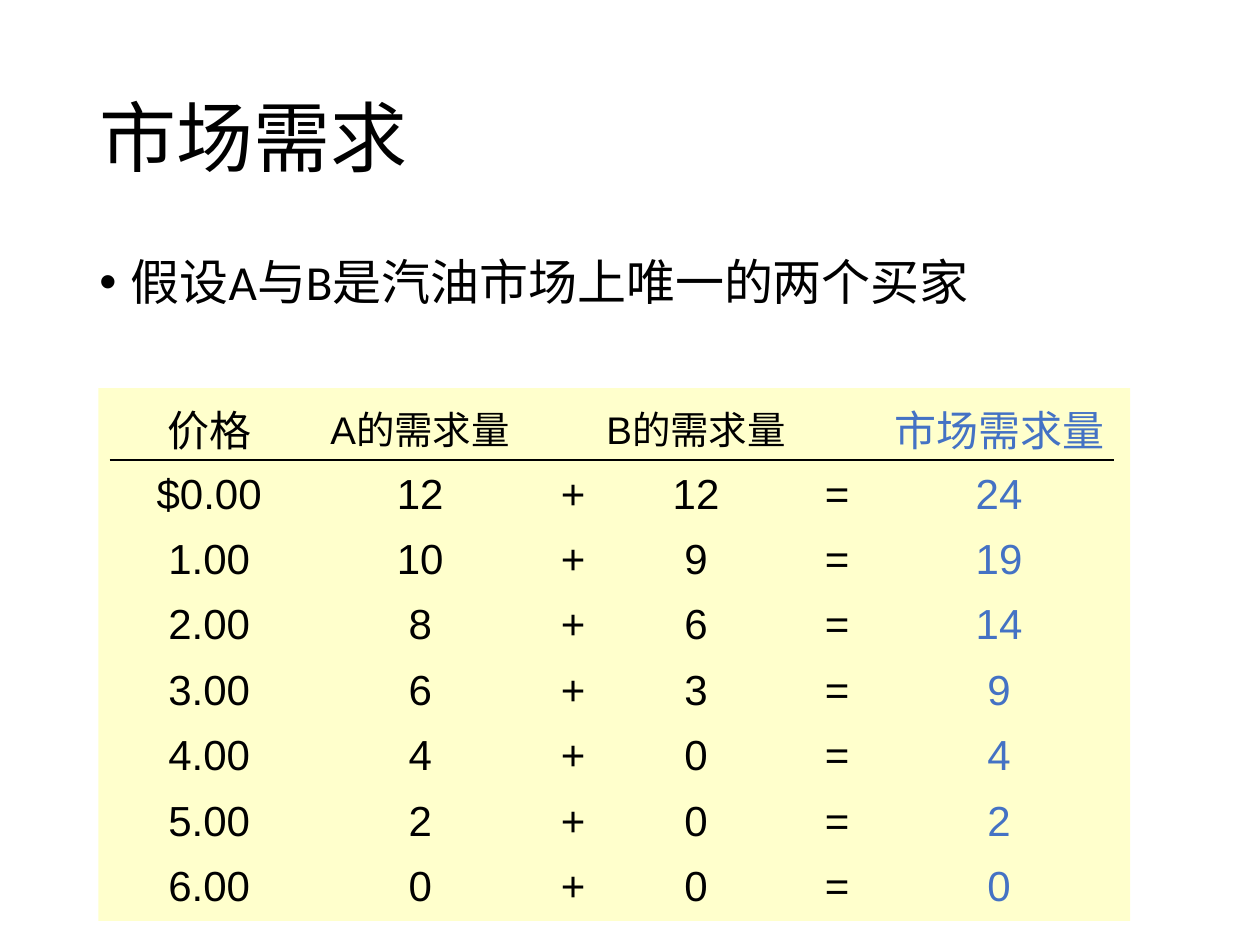
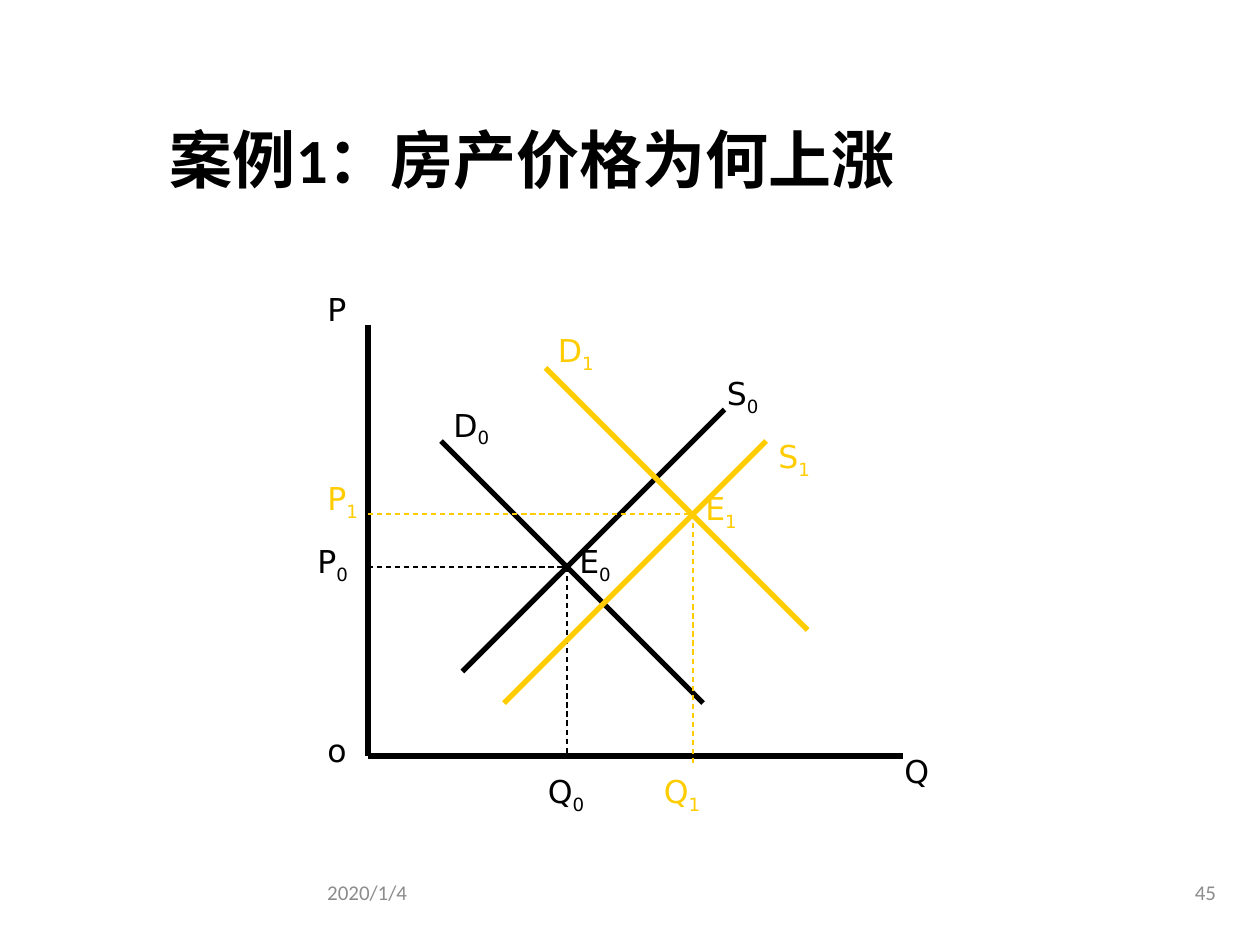
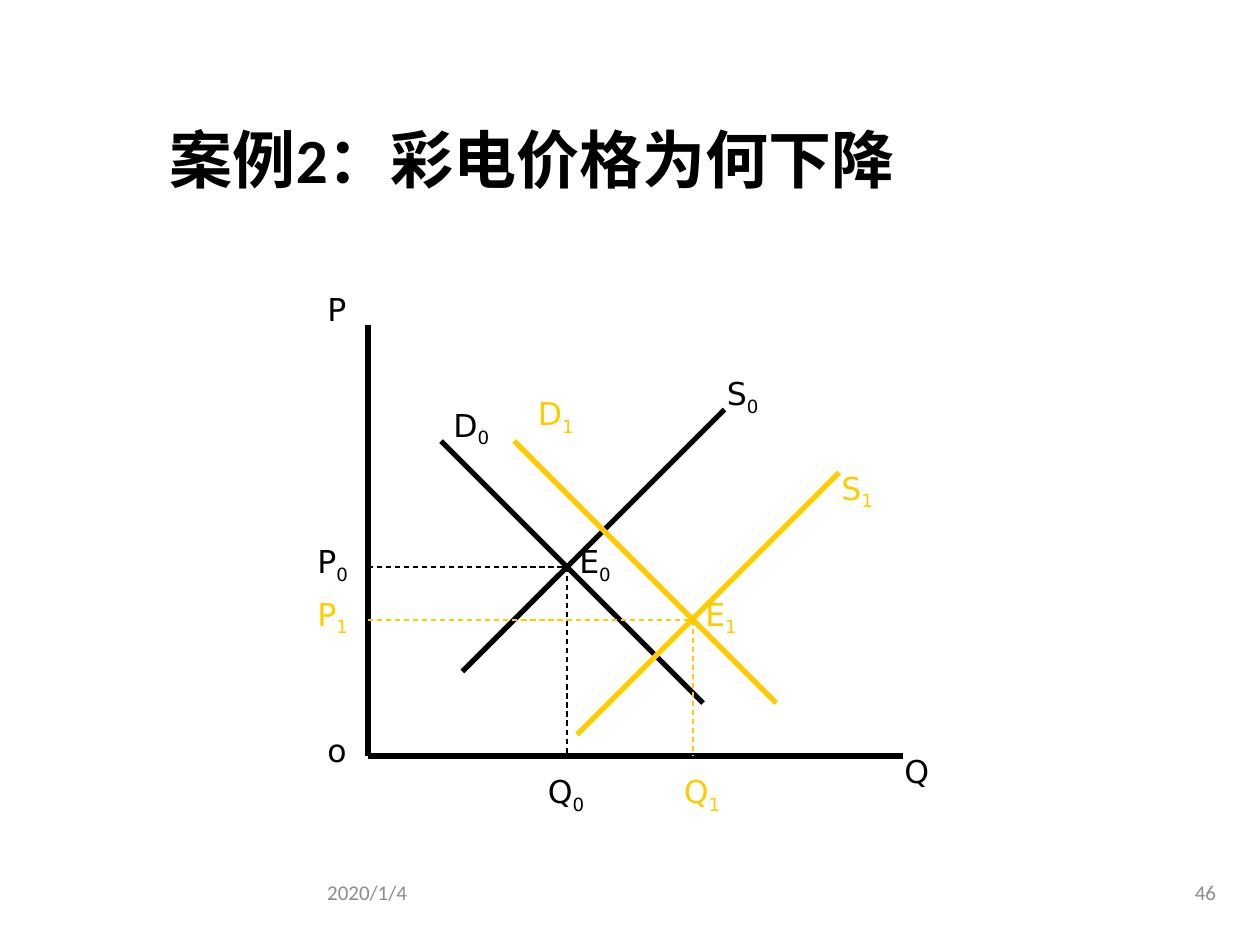
from dataclasses import dataclass

from lxml.etree import SubElement
from pptx import Presentation
from pptx.dml.color import RGBColor
from pptx.enum.dml import MSO_LINE as Dash
from pptx.enum.shapes import MSO_CONNECTOR as Link, MSO_SHAPE as Form
from pptx.enum.text import MSO_ANCHOR as Anchor, MSO_AUTO_SIZE as Fit, PP_ALIGN as Align
from pptx.oxml.ns import qn
from pptx.slide import Slide
from pptx.text.text import Font
from pptx.util import Inches, Pt

BLACK = RGBColor(0x00, 0x00, 0x00)
GOLD = RGBColor(0xFF, 0xCC, 0x00)
BLUE = RGBColor(0x44, 0x72, 0xC4)
CREAM = RGBColor(0xFF, 0xFF, 0xCC)
GRAY = RGBColor(0x8C, 0x8C, 0x8C)

MAIN, GRID, MARK = "Calibri", "Arial", "DejaVu Sans"
PLAIN = "{2D5ABB26-0587-4C30-8999-92F81FD0307C}"  # table style without grid

# Demand table: price, quantity of A, quantity of B
WIDTHS = (1.3, 2.05, 0.29, 1.75, 0.49, 2.08)
HEADS = ("价格", "A的需求量", "", "B的需求量", "", "市场需求量")
DEMAND = (("$0.00", 12, 12), ("1.00", 10, 9), ("2.00", 8, 6), ("3.00", 6, 3),
          ("4.00", 4, 0), ("5.00", 2, 0), ("6.00", 0, 0))

# Diagram frame
LEFT, TOP, RIGHT, BASE = 2.92, 2.58, 7.17, 6
SPAN = 2.08  # width and height of every curve

Spot = tuple[float, float]


@dataclass
class Market:
    """Demand and supply curves (top left corners), their crossing and labels."""
    tag: str
    color: RGBColor
    demand: Spot
    supply: Spot
    cross: Spot
    names: dict[str, Spot]
    foot: float = BASE


@dataclass
class Case:
    title: str
    page: str
    shift: Market


OLD = Market("0", BLACK, (3.5, 3.5), (3.67, 3.25), (4.5, 4.5),
             {"D": (3.5, 3.17), "S": (5.67, 2.92), "P": (2.42, 4.25), "Q": (4.25, 6.08)})
CASES = (
    Case("案例1：房产价格为何上涨", "45", Market(
        "1", GOLD, (4.33, 2.92), (4, 3.5), (5.5, 4.08),
        {"D": (4.33, 2.58), "S": (6.08, 3.42), "P": (2.5, 3.75), "Q": (5.17, 6.08)}, 6.08)),
    Case("案例2：彩电价格为何下降", "46", Market(
        "1", GOLD, (4.08, 3.5), (4.58, 3.75), (5.5, 4.92),
        {"D": (4.17, 3.08), "S": (6.58, 3.67), "P": (2.42, 4.67), "Q": (5.33, 6.08)})),
)


def style(font: Font, name: str, size: float, color: RGBColor, bold: bool = False) -> None:
    font.name, font.size, font.bold = name, Pt(size), bold
    font.color.rgb = color


def write(slide: Slide, text: str, x: float, y: float, w: float, h: float, size: float,
          name: str = MAIN, color: RGBColor = BLACK, bold: bool = False,
          anchor: Anchor = Anchor.MIDDLE, align: Align = Align.LEFT, pitch: float = 1):
    """Add a wrapped text box and return its frame."""
    frame = slide.shapes.add_textbox(Inches(x), Inches(y), Inches(w), Inches(h)).text_frame
    frame.word_wrap = True
    frame.vertical_anchor = anchor
    frame.text = text
    para = frame.paragraphs[0]
    para.alignment, para.line_spacing = align, pitch
    style(para.runs[0].font, name, size, color, bold)
    return frame


def draw(slide: Slide, start: Spot, end: Spot, color: RGBColor, width: float,
         dash: bool = False) -> None:
    line = slide.shapes.add_connector(Link.STRAIGHT, *map(Inches, start + end))
    line.line.color.rgb = color
    line.line.width = Pt(width)
    if dash:
        line.line.dash_style = Dash.DASH
    SubElement(line._element.spPr, qn("a:effectLst"))


def label(slide: Slide, text: str, spot: Spot, color: RGBColor = BLACK, sub: str = "") -> None:
    frame = write(slide, text, *spot, 1 if sub else 0.58, 0.5, 18, MARK, color,
                  anchor=Anchor.TOP)
    frame.auto_size = Fit.SHAPE_TO_FIT_TEXT
    if sub:
        run = frame.paragraphs[0].add_run()
        run.text = sub
        style(run.font, MARK, 18, color)
        run._r.get_or_add_rPr().set("baseline", "-25000")


def add_grid(slide: Slide) -> None:
    """Fill the demand table; the last column adds up A and B."""
    rows = [HEADS] + [(cost, a, "+", b, "=", a + b) for cost, a, b in DEMAND]
    frame = slide.shapes.add_table(len(rows), len(WIDTHS), Inches(1.01), Inches(3.1),
                                   Inches(sum(WIDTHS)), Inches(4.18))
    table = frame.table
    table.first_row = table.horz_banding = False
    table._tbl.tblPr.find(qn("a:tableStyleId")).text = PLAIN
    for col, width in zip(table.columns, WIDTHS):
        col.width = Inches(width)
    for r, row in enumerate(rows):
        table.rows[r].height = Inches(0.52 if r else 0.54)
        for c, item in enumerate(row):
            cell = table.cell(r, c)
            cell.fill.background()
            cell.vertical_anchor = Anchor.MIDDLE
            cell.margin_right = cell.margin_bottom = 0
            cell.margin_left = Inches(0.09 if c == 2 else 0)
            cell.margin_top = Inches(0.03)
            cell.text_frame.text = str(item)
            para = cell.text_frame.paragraphs[0]
            para.alignment, para.line_spacing = Align.CENTER, 1.05
            size = 22 if r == 0 and c in (1, 3) else 24
            for run in para.runs:
                style(run.font, GRID, size, BLUE if c == 5 else BLACK)


def add_demand(slide: Slide) -> None:
    write(slide, "市场需求", 0.69, 0.4, 8.62, 1.45, 44, pitch=0.9)
    frame = write(slide, "假设A与B是汽油市场上唯一的两个买家", 0.69, 2, 8.62, 4.76, 28,
                  anchor=Anchor.TOP, pitch=0.9)
    # Bullet with hanging indent
    props = frame.paragraphs[0]._p.get_or_add_pPr()
    props.set("marL", str(Inches(0.25)))
    props.set("indent", str(Inches(-0.25)))
    SubElement(props, qn("a:buFont"), typeface=GRID)
    SubElement(props, qn("a:buChar"), char="•")
    # Panel, table and rule under the heads
    panel = slide.shapes.add_shape(Form.RECTANGLE, Inches(0.78), Inches(3.08),
                                   Inches(8.19), Inches(4.23))
    panel.shadow.inherit = False
    panel.fill.solid()
    panel.fill.fore_color.rgb = CREAM
    panel.line.fill.background()
    add_grid(slide)
    draw(slide, (0.87, 3.65), (8.84, 3.65), BLACK, 1)


def add_market(slide: Slide, market: Market) -> None:
    tint = market.color
    # Curves
    x, y = market.demand
    draw(slide, (x, y), (x + SPAN, y + SPAN), tint, 3)
    x, y = market.supply
    draw(slide, (x, y + SPAN), (x + SPAN, y), tint, 3)
    # Guides to both axes
    x, y = market.cross
    draw(slide, (LEFT, y), (x, y), tint, 0.75, True)
    draw(slide, (x, y), (x, market.foot), tint, 0.75, True)
    # Labels
    for name, spot in market.names.items():
        label(slide, name, spot, tint, market.tag)
    label(slide, "E", (x, y - 0.25), tint, market.tag)


def add_case(slide: Slide, case: Case) -> None:
    write(slide, case.title, 1.25, 0.67, 8.5, 1.25, 36, bold=True, pitch=0.9)
    # Axes
    draw(slide, (LEFT, TOP), (LEFT, BASE), BLACK, 3)
    draw(slide, (LEFT, BASE), (RIGHT, BASE), BLACK, 3)
    for name, spot in (("o", (2.5, 5.75)), ("Q", (7.08, 5.92)), ("P", (2.5, 2.25))):
        label(slide, name, spot)
    for market in (OLD, case.shift):
        add_market(slide, market)
    # Footer
    for text, x in (("2020/1/4", 1.25), (case.page, 7.67)):
        write(slide, text, x, 6.83, 2.08, 0.5, 12, color=GRAY, align=Align.RIGHT)


def main() -> None:
    deck = Presentation()
    deck.slide_width, deck.slide_height = Inches(10), Inches(7.5)
    blank = deck.slide_layouts[6]
    add_demand(deck.slides.add_slide(blank))
    for case in CASES:
        add_case(deck.slides.add_slide(blank), case)
    deck.save("out.pptx")


if __name__ == "__main__":
    main()
